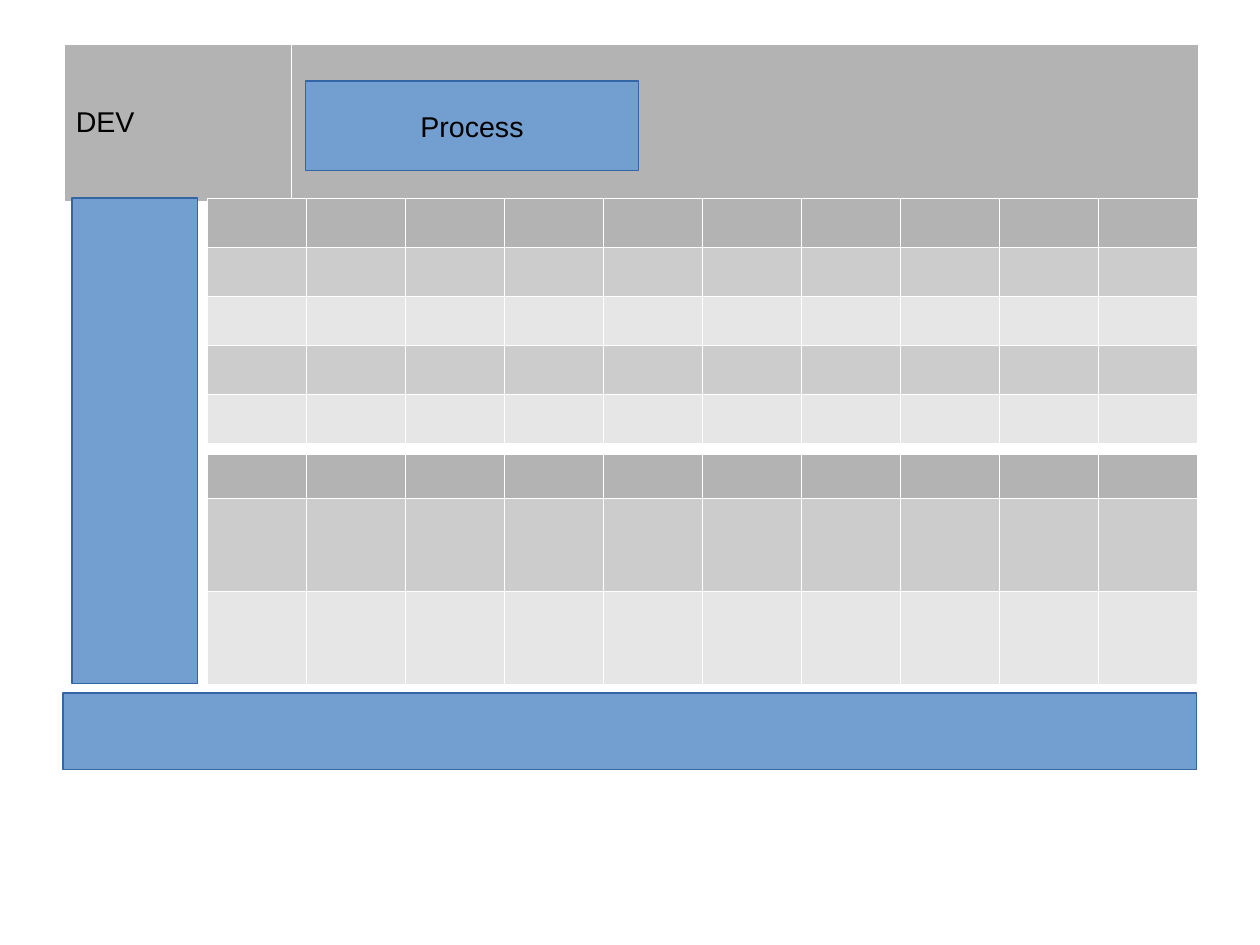
from collections import namedtuple
from dataclasses import dataclass

from lxml.etree import SubElement
from pptx import Presentation
from pptx.dml.color import RGBColor as Rgb
from pptx.enum.shapes import MSO_SHAPE as Preset
from pptx.enum.text import MSO_ANCHOR as Anchor, PP_ALIGN as Align
from pptx.oxml.ns import qn
from pptx.util import Cm, Pt

Box = namedtuple("Box", "left top width height")


@dataclass(frozen=True)
class Theme:
    font: str = "Arial"
    text_size: float = 18
    text: str = "000000"
    header: str = "B3B3B3"
    bands: tuple = ("CCCCCC", "E6E6E6")
    border: str = "FFFFFF"
    border_width: float = 0.06
    panel: str = "729FCF"
    panel_edge: str = "3465A4"
    panel_edge_width: float = 0


THEME = Theme()
LABEL_FORMAT = {"name": THEME.font, "size": Pt(THEME.text_size), "bold": False}
CELL_FORMAT = {"margin_top": 0, "margin_bottom": 0, "vertical_anchor": Anchor.MIDDLE}
PANEL_TEXT_FORMAT = {"word_wrap": False, "vertical_anchor": Anchor.MIDDLE}


def apply_format(target, values):
    for name, value in values.items():
        setattr(target, name, value)


def paint(fill, colour):
    fill.solid()
    fill.fore_color.rgb = Rgb.from_string(colour)


def write_label(paragraph, text):
    run = paragraph.add_run()
    run.text = text
    apply_format(run.font, LABEL_FORMAT)
    run.font.color.rgb = Rgb.from_string(THEME.text)


def draw_borders(cell):
    properties = cell._tc.get_or_add_tcPr()
    for position, side in enumerate(("lnL", "lnR", "lnT", "lnB")):
        edge = properties.makeelement(qn(f"a:{side}"), {"w": str(Pt(THEME.border_width))})
        properties.insert(position, edge)
        solid = SubElement(edge, qn("a:solidFill"))
        SubElement(solid, qn("a:srgbClr"), val=THEME.border)


def add_grid(slide, box, column_widths, row_heights):
    grid = slide.shapes.add_table(
        len(row_heights), len(column_widths), *map(Cm, box)
    ).table
    apply_format(grid, {"first_row": False, "horz_banding": False})
    for column, width in zip(grid.columns, column_widths):
        column.width = Cm(width)
    for index, (row, height) in enumerate(zip(grid.rows, row_heights)):
        row.height = Cm(height)
        colour = THEME.bands[(index - 1) % 2] if index else THEME.header
        for cell in row.cells:
            apply_format(cell, CELL_FORMAT)
            paint(cell.fill, colour)
            draw_borders(cell)
    return grid


def add_panel(slide, box, label=""):
    panel = slide.shapes.add_shape(Preset.RECTANGLE, *map(Cm, box))
    panel.shadow.inherit = False
    paint(panel.fill, THEME.panel)
    paint(panel.line.fill, THEME.panel_edge)
    panel.line.width = Pt(THEME.panel_edge_width)
    if label:
        apply_format(panel.text_frame, PANEL_TEXT_FORMAT)
        paragraph = panel.text_frame.paragraphs[0]
        paragraph.alignment = Align.CENTER
        write_label(paragraph, label)


def add_header(slide, box):
    stage_width = 5.03
    header = add_grid(slide, box, [stage_width, box.width - stage_width], [box.height])
    write_label(header.cell(0, 0).text_frame.paragraphs[0], "DEV")
    process = Box(box.left + stage_width + 0.33, box.top + 0.83, 7.4, 2)
    add_panel(slide, process, "Process")


def add_body(slide, box):
    columns = 10
    sidebar_width = 2.8
    grid_left = box.left + 3
    grid_width = box.width - 3
    column_widths = [grid_width / columns] * columns
    upper = Box(grid_left, box.top, grid_width, 5.45)
    lower = Box(grid_left, box.top + 5.7, grid_width, box.height - 5.7)
    title_height = 0.96
    add_grid(slide, upper, column_widths, [upper.height / 5] * 5)
    add_grid(
        slide, lower, column_widths,
        [title_height] + [(lower.height - title_height) / 2] * 2,
    )
    add_panel(slide, Box(box.left, box.top, sidebar_width, box.height))


def main():
    deck = Presentation()
    apply_format(deck, {"slide_width": Cm(28), "slide_height": Cm(21)})
    slide = deck.slides.add_slide(deck.slide_layouts[6])
    add_header(slide, Box(1.43, 0.97, 25.2, 3.5))
    add_body(slide, Box(1.6, 4.4, 25, 10.8))
    add_panel(slide, Box(1.4, 15.4, 25.2, 1.7))
    deck.save("out.pptx")


if __name__ == "__main__":
    main()
